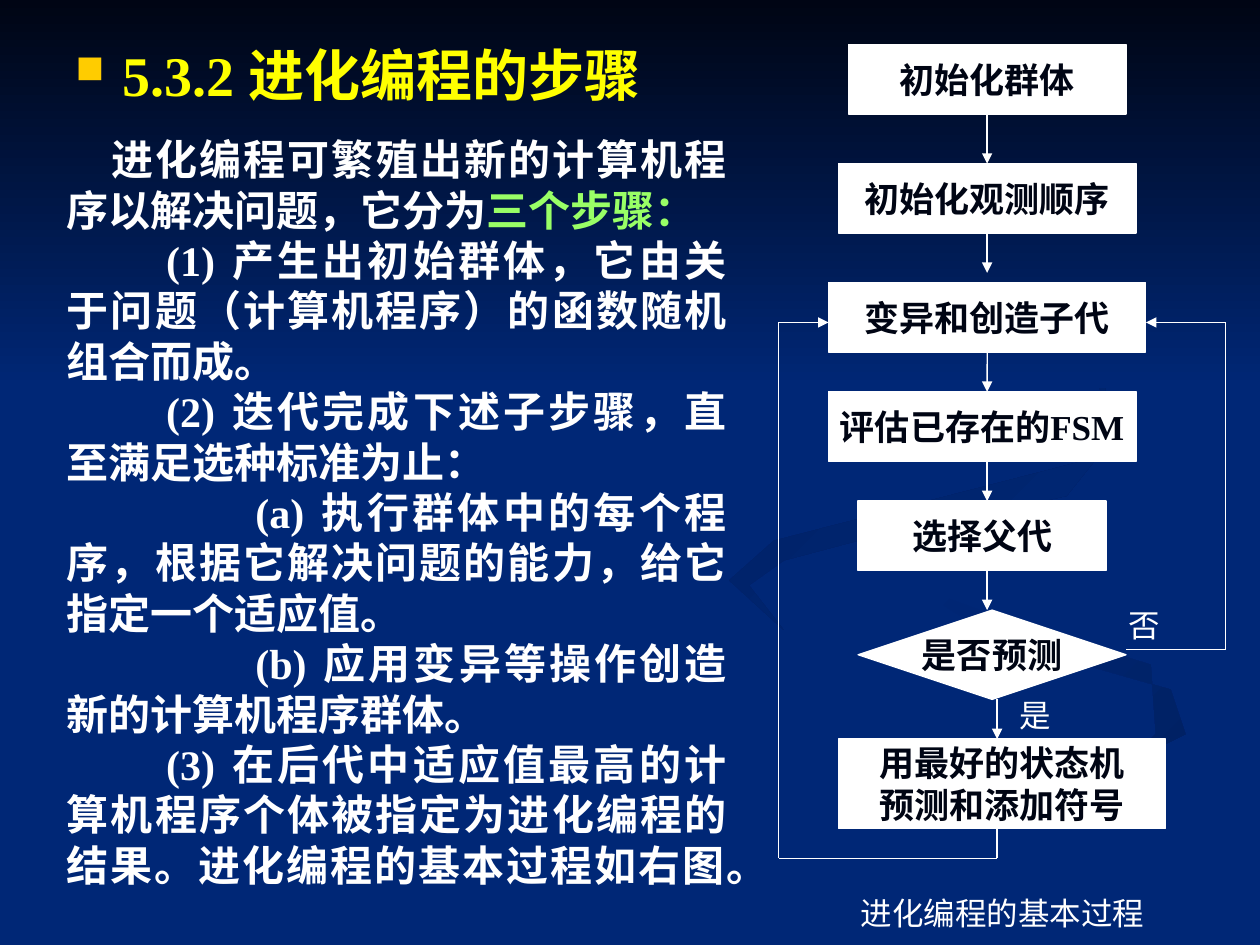
from dataclasses import dataclass

from lxml import etree
from pptx import Presentation
from pptx.dml.color import RGBColor
from pptx.enum.shapes import MSO_CONNECTOR, MSO_SHAPE
from pptx.enum.text import MSO_ANCHOR, PP_ALIGN
from pptx.oxml.ns import qn
from pptx.util import Cm, Pt

RECT, DIAMOND = MSO_SHAPE.RECTANGLE, MSO_SHAPE.DIAMOND
STRAIGHT = MSO_CONNECTOR.STRAIGHT
MIDDLE = MSO_ANCHOR.MIDDLE
CENTER, JUSTIFY, LEFT = PP_ALIGN.CENTER, PP_ALIGN.JUSTIFY, PP_ALIGN.LEFT
TOP, BOTTOM = 0, 2


@dataclass(frozen=True)
class Theme:
    """Colours, font and type sizes of the slide."""
    font: str = "Times New Roman"
    back: str = "002776"
    shade: str = "002164"
    dark: str = "000514"
    white: str = "FFFFFF"
    title: str = "FFFF00"
    mark: str = "FFCC00"
    accent: str = "99FF66"
    head: int = 32
    body: int = 24
    node: int = 20
    note: int = 18
    line: float = 0.75


THEME = Theme()

SWIRLS = [
    (THEME.back, THEME.shade, [
        (184, 118), (203, 125), (232, 134), (233, 148), (227, 154),
        (239, 148), (236, 139), (201, 129)]),
    (THEME.shade, THEME.back, [
        (173, 109), (215, 100), (227, 85), (215, 70), (194, 59),
        (223, 76), (222, 92), (156, 109), (147, 117), (158, 127),
        (151, 118), (158, 113)]),
]

NODES = [
    (RECT, 17.1, 5.6, 1.4, "初始化群体"),
    (RECT, 16.9, 6, 1.4, "初始化观测顺序"),
    (RECT, 16.7, 6.4, 1.4, "变异和创造子代"),
    (RECT, 16.7, 6.2, 1.4, "评估已存在的FSM"),
    (RECT, 17.3, 5, 1.4, "选择父代"),
    (DIAMOND, 17.3, 5.4, 1.8, "是否预测"),
    (RECT, 16.9, 6.6, 1.8, "用最好的状态机\n预测和添加符号"),
]

LOOPS = [
    [(20.1, 16.7), (20.1, 17.3), (15.7, 17.3), (15.7, 6.5), (16.7, 6.5)],
    [(22.7, 13.1), (24.7, 13.1), (24.7, 6.5), (23.1, 6.5)],
]

STEPS = [
    (0.9, "进化编程可繁殖出新的计算机程序以解决问题，它分为"),
    (2, "(1) 产生出初始群体，它由关于问题（计算机程序）的函数随机组合而成。"),
    (2, "(2) 迭代完成下述子步骤，直至满足选种标准为止："),
    (3.8, "(a) 执行群体中的每个程序，根据它解决问题的能力，给它指定一个适应值。"),
    (3.8, "(b) 应用变异等操作创造新的计算机程序群体。"),
    (2, "(3) 在后代中适应值最高的计算机程序个体被指定为进化编程的结果。"
        "进化编程的基本过程如右图。"),
]

LABELS = [
    (20.3, 13.9, 2, "是"),
    (22.5, 12.1, 2, "否"),
    (17.1, 17.9, 7, "进化编程的基本过程"),
]


def style(para, size, color, bold=False, align=LEFT):
    """Format every run of a paragraph."""
    para.alignment = align
    for run in para.runs:
        font = run.font
        font.name, font.size, font.bold = THEME.font, Pt(size), bold
        font.color.rgb = RGBColor.from_string(color)


def blend(shape, start, end, angle):
    """Fill a borderless shape with a two-stop gradient."""
    shape.shadow.inherit = False
    shape.line.fill.background()
    shape.fill.gradient()
    shape.fill.gradient_angle = -angle % 360
    for stop, color in zip(shape.fill.gradient_stops, (start, end)):
        stop.color.rgb = RGBColor.from_string(color)


def add_swirl(slide, start, end, points):
    """Draw one background ribbon from points in millimetres."""
    pen = slide.shapes.build_freeform(*points[0], scale=Cm(0.1))
    pen.add_line_segments(points[1:], close=True)
    blend(pen.convert_to_shape(), start, end, 45)


def add_text(slide, left, top, width, height):
    """Add a wrapping text box and return its frame."""
    box = slide.shapes.add_textbox(Cm(left), Cm(top), Cm(width), Cm(height))
    box.text_frame.word_wrap = True
    return box.text_frame


def add_title(slide):
    """Add the heading with its square bullet."""
    para = add_text(slide, 1.27, 0.7, 15, 1.6).paragraphs[0]
    para.text = "5.3.2 进化编程的步骤"
    props = para._p.get_or_add_pPr()
    props.set("marL", str(Cm(0.95)))
    props.set("indent", str(-Cm(0.95)))
    tint = etree.SubElement(props, qn("a:buClr"))
    etree.SubElement(tint, qn("a:srgbClr"), val=THEME.mark)
    etree.SubElement(props, qn("a:buSzPct"), val="70000")
    etree.SubElement(props, qn("a:buChar"), char="■")
    style(para, THEME.head, THEME.title, True)


def add_steps(slide):
    """Add the justified steps with first-line indents."""
    frame = add_text(slide, 1.1, 2.57, 13.8, 16.4)
    frame.text = "\n".join(text for _, text in STEPS)
    lead = frame.paragraphs[0]
    lead.add_run().text = "三个步骤："
    for para, (indent, _) in zip(frame.paragraphs, STEPS):
        para._p.get_or_add_pPr().set("indent", str(Cm(indent)))
        style(para, THEME.body, THEME.white, True, JUSTIFY)
    lead.runs[-1].font.color.rgb = RGBColor.from_string(THEME.accent)


def add_node(slide, kind, left, top, width, height, text):
    """Add one white flowchart node."""
    node = slide.shapes.add_shape(kind, Cm(left), Cm(top), Cm(width), Cm(height))
    node.shadow.inherit = False
    node.fill.solid()
    node.fill.fore_color.rgb = RGBColor.from_string(THEME.white)
    node.line.color.rgb = RGBColor.from_string(THEME.white)
    node.line.width = Pt(THEME.line)
    frame = node.text_frame
    frame.text = text
    frame.word_wrap, frame.vertical_anchor = False, MIDDLE
    for para in frame.paragraphs:
        style(para, THEME.node, THEME.dark, True, CENTER)
    return node


def add_link(slide, start, end, arrow=True):
    """Add a straight line, with an arrowhead if asked."""
    link = slide.shapes.add_connector(STRAIGHT, *map(Cm, start + end))
    link.line.color.rgb = RGBColor.from_string(THEME.white)
    link.line.width = Pt(THEME.line)
    props = link._element.spPr
    if arrow:
        etree.SubElement(props.find(qn("a:ln")), qn("a:tailEnd"), type="triangle")
    etree.SubElement(props, qn("a:effectLst"))
    return link


def add_chain(slide):
    """Stack the nodes and link each one to the next."""
    top, last = 0.9, len(NODES) - 1
    link = None
    for rank, (kind, left, width, height, text) in enumerate(NODES):
        node = add_node(slide, kind, left, top, width, height, text)
        if rank == 1:
            link.end_connect(node, TOP)
        top += height
        if rank < last:
            x = 20.1 if kind == DIAMOND else 19.9
            reach = 0.8 if rank else 1
            link = add_link(slide, (x, top), (x, top + reach))
            if rank < 3:
                link.begin_connect(node, BOTTOM)
        top += 1 if rank < 2 else 0.8


def add_loops(slide):
    """Draw the two return paths."""
    for route in LOOPS:
        for start, end in zip(route, route[1:]):
            add_link(slide, start, end, end == route[-1])


def add_labels(slide):
    """Add the branch labels and the caption."""
    for left, top, width, text in LABELS:
        para = add_text(slide, left, top, width, 1).paragraphs[0]
        para.text = text
        style(para, THEME.note, THEME.white)


def main():
    """Build and save the slide."""
    deck = Presentation()
    deck.slide_width, deck.slide_height = Cm(25.4), Cm(19.05)
    slide = deck.slides.add_slide(deck.slide_layouts[6])
    slide.background.fill.solid()
    slide.background.fill.fore_color.rgb = RGBColor.from_string(THEME.back)
    for swirl in SWIRLS:
        add_swirl(slide, *swirl)
    sky = slide.shapes.add_shape(RECT, 0, 0, deck.slide_width, Cm(7.82))
    blend(sky, THEME.dark, THEME.back, 90)
    add_title(slide)
    add_steps(slide)
    add_chain(slide)
    add_loops(slide)
    add_labels(slide)
    deck.save("out.pptx")


if __name__ == "__main__":
    main()
